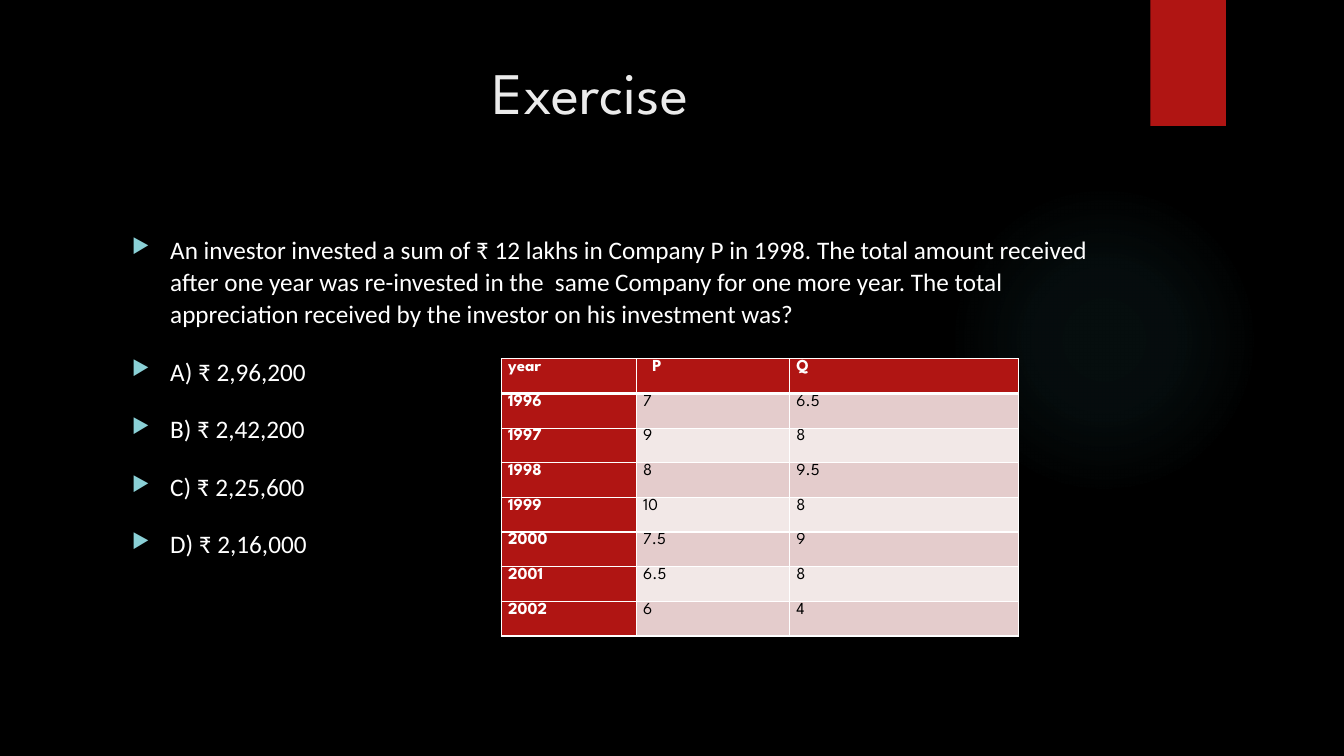
from lxml import etree
from pptx import Presentation
from pptx.dml.color import RGBColor
from pptx.enum.shapes import MSO_SHAPE
from pptx.enum.text import MSO_ANCHOR, PP_ALIGN
from pptx.oxml import parse_xml
from pptx.oxml.ns import qn
from pptx.util import Inches, Pt

OVAL, RECT = MSO_SHAPE.OVAL, MSO_SHAPE.RECTANGLE
TOP, CENTER, LEFT = MSO_ANCHOR.TOP, PP_ALIGN.CENTER, PP_ALIGN.LEFT

BLACK = RGBColor(0x00, 0x00, 0x00)
WHITE = RGBColor(0xFF, 0xFF, 0xFF)
RED = RGBColor(0xB0, 0x15, 0x13)
TITLE_GREY = RGBColor(0xEB, 0xEB, 0xEB)
BULLET_TEAL = RGBColor(0x8A, 0xD0, 0xD6)
GLOW_TEAL = RGBColor(0x50, 0xB9, 0xC1)
BANDS = (RGBColor(0xE4, 0xCC, 0xCC), RGBColor(0xF2, 0xE8, 0xE7))

HEADING_FONT, BODY_FONT = "League Spartan", "Calibri"
DRAWING_NS = "http://schemas.openxmlformats.org/drawingml/2006/main"
GLOW_STOPS = ((0, 7), (36, 6), (69, 0))  # position and opacity, percent

QUESTION = (
    "An investor invested a sum of ₹ 12 lakhs in Company P in 1998. "
    "The total amount received after one year was re-invested in the  same "
    "Company for one more year. The total appreciation received by the "
    "investor on his investment was?",
    "A) ₹ 2,96,200",
    "B) ₹ 2,42,200",
    "C) ₹ 2,25,600",
    "D) ₹ 2,16,000",
)
RATES = (
    ("year", "P", "Q"),
    ("1996", "7", "6.5"),
    ("1997", "9", "8"),
    ("1998", "8", "9.5"),
    ("1999", "10", "8"),
    ("2000", "7.5", "9"),
    ("2001", "6.5", "8"),
    ("2002", "6", "4"),
)
COLUMN_WIDTHS = (1.34, 1.52, 2.27)
ROW_HEIGHT = 2.75 / len(RATES)


def write(p, text, font=BODY_FONT, size=18, color=WHITE, bold=False,
          align=LEFT, line=None, before=0, after=0):
    p.alignment = align
    p.line_spacing = line
    p.space_before, p.space_after = Pt(before), Pt(after)
    r = p.add_run()
    r.text = text
    r.font.name, r.font.size, r.font.bold = font, Pt(size), bold
    r.font.color.rgb = color


def add_bullet(p):
    pPr = p._p.get_or_add_pPr()
    pPr.set("marL", str(Inches(0.38)))
    pPr.set("indent", str(-Inches(0.38)))
    color = etree.SubElement(pPr, qn("a:buClr"))
    etree.SubElement(color, qn("a:srgbClr"), val=str(BULLET_TEAL))
    etree.SubElement(pPr, qn("a:buSzPct"), val="80000")
    etree.SubElement(pPr, qn("a:buChar"), char="▶")


def add_plain_shape(slide, kind, left, top, width, height, color):
    sp = slide.shapes.add_shape(kind, Inches(left), Inches(top),
                                Inches(width), Inches(height))
    sp.shadow.inherit = False
    sp.fill.solid()
    sp.fill.fore_color.rgb = color
    sp.line.fill.background()
    return sp


def add_glow(slide, left, top, size):
    sp = add_plain_shape(slide, OVAL, left, top, size, size, GLOW_TEAL)
    stops = "".join(
        f'<a:gs pos="{pos * 1000}"><a:srgbClr val="{GLOW_TEAL}">'
        f'<a:alpha val="{alpha * 1000}"/></a:srgbClr></a:gs>'
        for pos, alpha in GLOW_STOPS)
    gradient = parse_xml(
        f'<a:gradFill xmlns:a="{DRAWING_NS}"><a:gsLst>{stops}</a:gsLst>'
        '<a:path path="circle"><a:fillToRect l="50000" t="50000" r="50000" '
        'b="50000"/></a:path></a:gradFill>')
    solid = sp._element.spPr.find(qn("a:solidFill"))
    solid.getparent().replace(solid, gradient)


def set_title(slide, text):
    title = slide.shapes.title
    title.left, title.top = Inches(0.71), Inches(0.5)
    title.width, title.height = Inches(10.29), Inches(1.53)
    title.text_frame.vertical_anchor = TOP
    write(title.text_frame.paragraphs[0], text, font=HEADING_FONT, size=42,
          color=TITLE_GREY, align=CENTER)


def add_question(slide, lines):
    box = slide.shapes.add_textbox(Inches(1.21), Inches(2.25),
                                   Inches(9.78), Inches(4.59))
    tf = box.text_frame
    tf.word_wrap = True
    for i, text in enumerate(lines):
        p = tf.add_paragraph() if i else tf.paragraphs[0]
        write(p, text, line=1.07, before=10, after=8)
        add_bullet(p)


def set_borders(cell, top=1, bottom=1):
    tcPr = cell._tc.get_or_add_tcPr()
    for side, width in (("L", 1), ("R", 1), ("T", top), ("B", bottom)):
        ln = etree.SubElement(tcPr, qn(f"a:ln{side}"), w=str(Pt(width)))
        fill = etree.SubElement(ln, qn("a:solidFill"))
        etree.SubElement(fill, qn("a:srgbClr"), val=str(WHITE))


def add_rates_table(slide, left, top):
    frame = slide.shapes.add_table(
        len(RATES), len(COLUMN_WIDTHS), Inches(left), Inches(top),
        Inches(sum(COLUMN_WIDTHS)), Inches(ROW_HEIGHT * len(RATES)))
    table = frame.table
    table.first_col = True
    for column, width in zip(table.columns, COLUMN_WIDTHS):
        column.width = Inches(width)
    for row, values in enumerate(RATES):
        table.rows[row].height = Inches(ROW_HEIGHT)
        for col, value in enumerate(values):
            cell = table.cell(row, col)
            heading = row == 0 or col == 0
            cell.margin_left = Inches(0.16 if value == "P" else 0.07)
            cell.margin_right = Inches(0.07)
            cell.margin_top = cell.margin_bottom = 0
            set_borders(cell, top=3 if row == 1 else 1,
                        bottom=3 if row == 0 else 1)
            cell.fill.solid()
            cell.fill.fore_color.rgb = RED if heading else BANDS[(row - 1) % 2]
            write(cell.text_frame.paragraphs[0], value, font=HEADING_FONT,
                  size=12, color=WHITE if heading else BLACK, bold=heading,
                  line=1.07, after=8)


def main():
    prs = Presentation()
    prs.slide_width, prs.slide_height = Inches(13.33), Inches(7.5)
    slide = prs.slides.add_slide(prs.slide_layouts.get_by_name("Title Only"))
    slide.background.fill.solid()
    slide.background.fill.fore_color.rgb = BLACK
    add_glow(slide, 9.41, 1.83, 3.08)
    add_plain_shape(slide, RECT, 11.41, 0, 0.75, 1.25, RED)
    set_title(slide, "Exercise")
    add_question(slide, QUESTION)
    add_rates_table(slide, 4.97, 3.56)
    prs.save("out.pptx")


if __name__ == "__main__":
    main()
